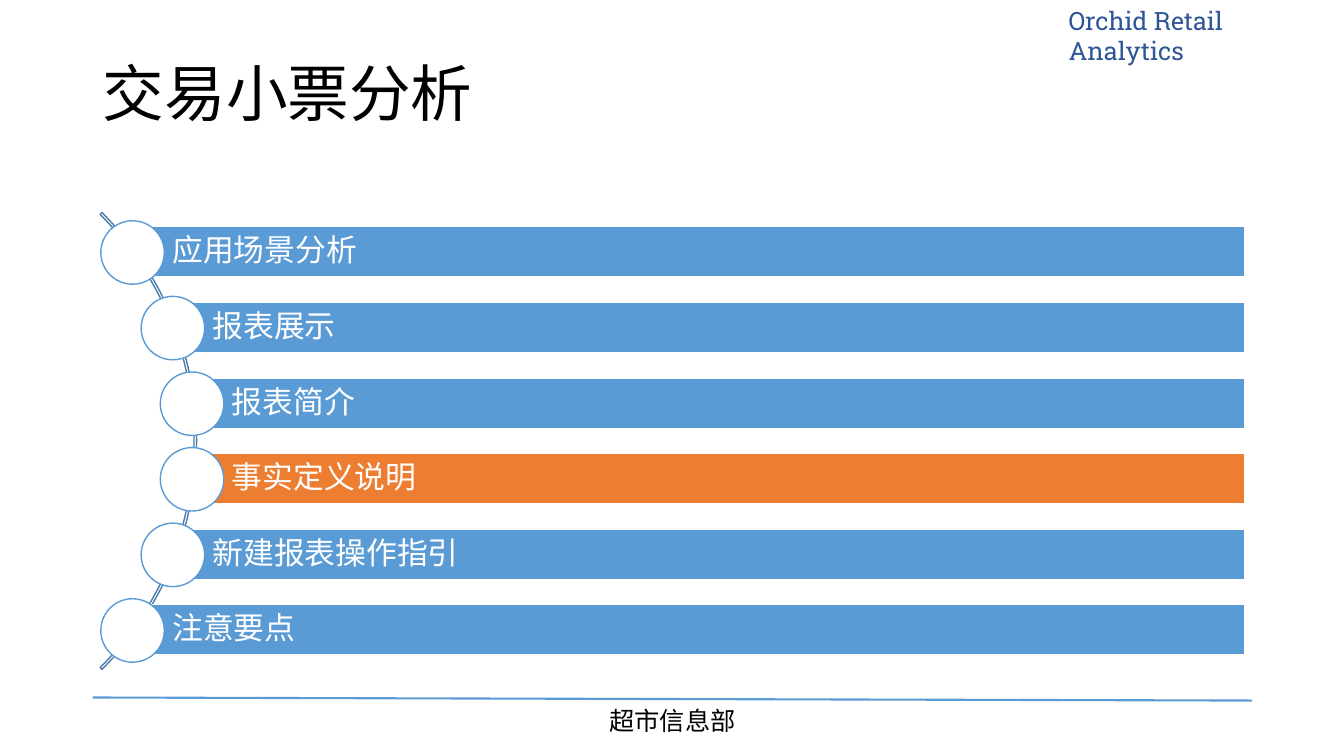
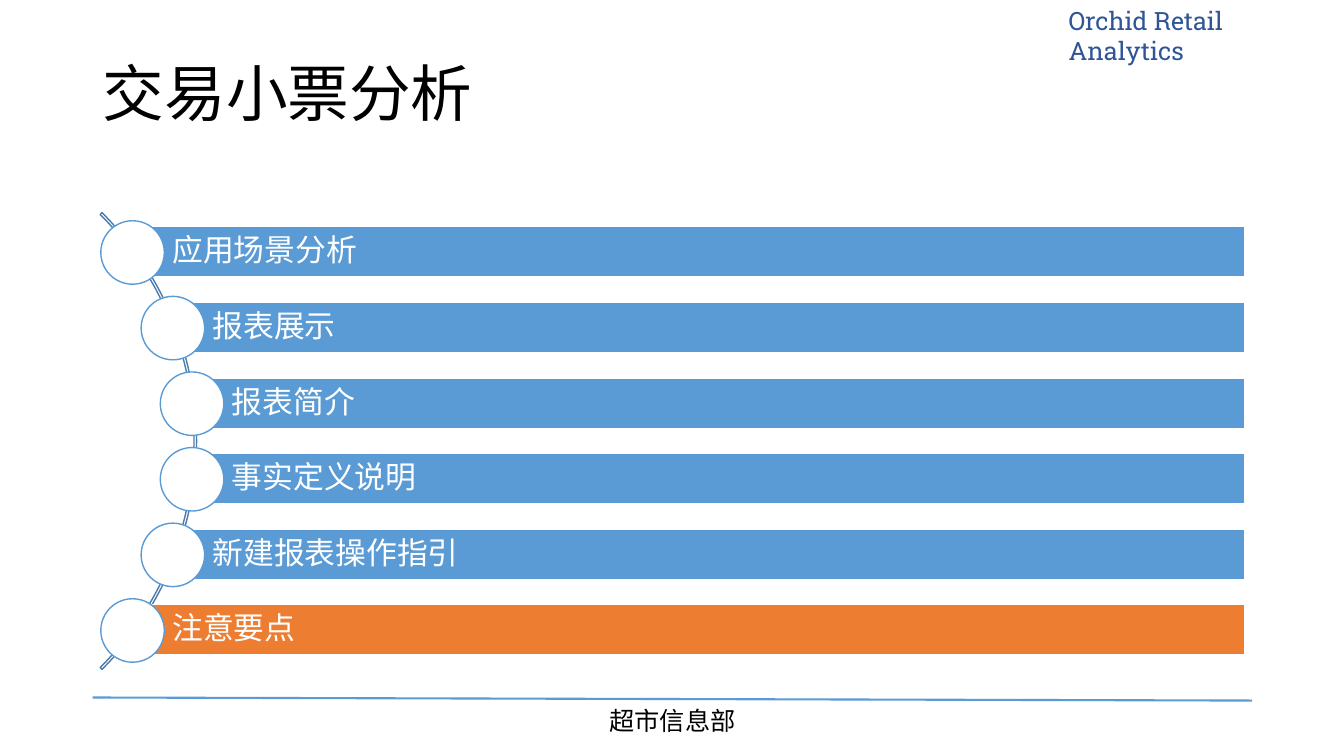
from dataclasses import dataclass
from math import sqrt
from typing import Optional

from lxml.etree import SubElement
from pptx import Presentation
from pptx.dml.color import RGBColor
from pptx.enum.shapes import MSO_CONNECTOR, MSO_SHAPE
from pptx.enum.text import MSO_ANCHOR, MSO_AUTO_SIZE, PP_ALIGN
from pptx.oxml.ns import qn
from pptx.util import Emu, Pt


@dataclass(frozen=True)
class Theme:
    blue: str = "5B9BD5"
    orange: str = "ED7D31"
    navy: str = "2F5597"
    steel: str = "497CAB"
    black: str = "000000"
    white: str = "FFFFFF"
    latin: str = "Calibri"
    slab: str = "Roboto Slab"
    hans: str = "Noto Sans CJK SC"
    title: int = 44
    item: int = 22
    note: int = 18


@dataclass(frozen=True)
class Box:
    left: int
    top: int
    width: int
    height: int

    def emu(self) -> tuple:
        return px(self.left), px(self.top), px(self.width), px(self.height)


@dataclass(frozen=True)
class Note:
    box: Box
    text: str
    font: str
    color: str
    align: PP_ALIGN


THEME = Theme()
TITLE = "交易小票分析"
TOPICS = ("应用场景分析", "报表展示", "报表简介", "事实定义说明", "新建报表操作指引", "注意要点")
ACTIVE = ("事实定义说明", "注意要点")
NOTES = (
    Note(Box(1050, 0, 283, 40), "Orchid Retail Analytics", THEME.slab, THEME.navy, PP_ALIGN.LEFT),
    Note(Box(560, 695, 214, 40), "超市信息部", THEME.hans, THEME.black, PP_ALIGN.CENTER),
)

ARC = Box(-446, 117, 641, 641)
HUB = -125
REACH = 317
RIGHT = 1235
FIRST = 225
STEP = 75
BAR = 50
DOT = 63


def px(value: int) -> Emu:
    return Emu(value * 9144)


def style(frame, font: str, size: int, color: str, align=PP_ALIGN.LEFT, space: float = 1.0) -> None:
    for para in frame.paragraphs:
        para.alignment = align
        para.line_spacing = space
        for run in para.runs:
            run.font.name = font
            run.font.size = Pt(size)
            run.font.color.rgb = RGBColor.from_string(color)
            SubElement(run.font._element, qn("a:ea"), typeface=THEME.hans)


def draw(shapes, kind: MSO_SHAPE, box: Box, line: str, fill: Optional[str] = None):
    shape = shapes.add_shape(kind, *box.emu())
    shape.shadow.inherit = False
    shape.line.color.rgb = RGBColor.from_string(line)
    shape.line.width = Pt(1)
    if fill:
        shape.fill.solid()
        shape.fill.fore_color.rgb = RGBColor.from_string(fill)
    else:
        shape.fill.background()
    return shape


def write(shapes, note: Note):
    shape = shapes.add_textbox(*note.box.emu())
    frame = shape.text_frame
    frame.word_wrap = True
    frame.text = note.text
    style(frame, note.font, THEME.note, note.color, note.align)
    return shape


def rule(shapes):
    line = shapes.add_connector(MSO_CONNECTOR.STRAIGHT, px(92), px(692), px(1242), px(695))
    line.line.color.rgb = RGBColor.from_string(THEME.blue)
    line.line.width = Pt(1.5)
    SubElement(line.element.spPr, qn("a:effectLst"))
    return line


def share(layout, slide) -> None:
    parts = [rule(slide.shapes)] + [write(slide.shapes, note) for note in NOTES]
    for mark, part in enumerate(parts, 20):
        next(part.element.iter(qn("p:cNvPr"))).set("id", str(mark))
        layout.shapes.element.append(part.element)


def place(layout) -> None:
    title = layout.placeholders[0]
    title.left, title.top, title.width, title.height = Box(92, 51, 1150, 89).emu()


def head(slide) -> None:
    frame = slide.shapes.title.text_frame
    frame.text = TITLE
    frame.auto_size = MSO_AUTO_SIZE.NONE
    frame.vertical_anchor = MSO_ANCHOR.MIDDLE
    style(frame, THEME.latin, THEME.title, THEME.black, space=0.9)


def row(shapes, index: int, topic: str, active: bool) -> None:
    top = FIRST + index * STEP
    mid = top + BAR // 2
    drop = (index - (len(TOPICS) - 1) / 2) * STEP
    left = HUB + round(sqrt(REACH ** 2 - drop ** 2))
    fill = THEME.orange if active else THEME.blue
    bar = draw(shapes, MSO_SHAPE.RECTANGLE, Box(left, top, RIGHT - left, BAR), THEME.white, fill)
    frame = bar.text_frame
    frame.word_wrap = True
    frame.vertical_anchor = MSO_ANCHOR.MIDDLE
    frame.margin_left = px(40)
    frame.margin_right = frame.margin_top = frame.margin_bottom = px(6)
    frame.text = topic
    style(frame, THEME.latin, THEME.item, THEME.white, space=0.9)
    dot = Box(left - DOT // 2, mid - DOT // 2, DOT, DOT)
    draw(shapes, MSO_SHAPE.OVAL, dot, THEME.blue, THEME.white)


def agenda(slide, active: str) -> None:
    shapes = slide.shapes.add_group_shape().shapes
    arc = draw(shapes, MSO_SHAPE.BLOCK_ARC, ARC, THEME.steel)
    for index, value in enumerate((189, 27, 4 / 1000)):
        arc.adjustments[index] = value
    for index, topic in enumerate(TOPICS):
        row(shapes, index, topic, topic == active)


def main() -> None:
    deck = Presentation()
    deck.slide_width, deck.slide_height = px(1333), px(750)
    layout = deck.slide_layouts[5]
    place(layout)
    slides = [deck.slides.add_slide(layout) for _ in ACTIVE]
    share(layout, slides[0])
    for slide, active in zip(slides, ACTIVE):
        head(slide)
        agenda(slide, active)
    deck.save("out.pptx")


if __name__ == "__main__":
    main()
